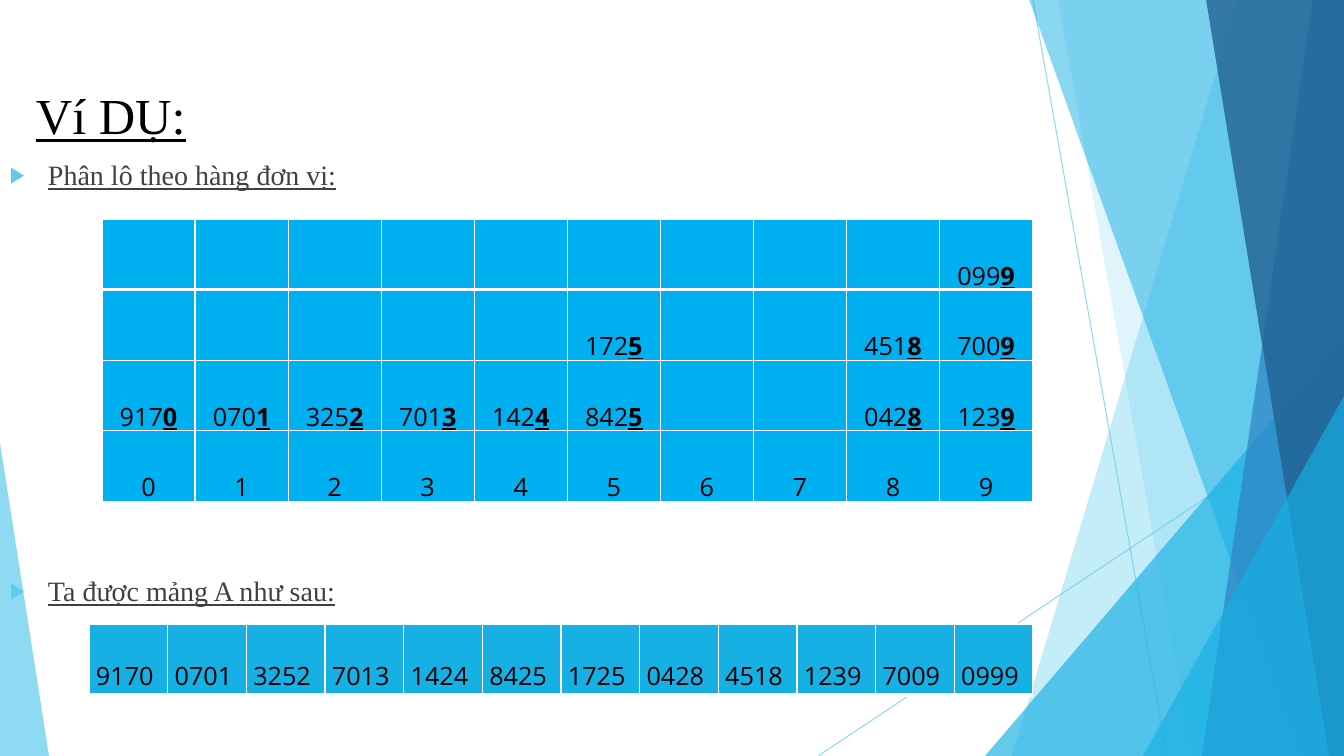
import dataclasses
import pptx
import pptx.dml.color
import pptx.enum.shapes
import pptx.enum.text
import pptx.oxml
import pptx.oxml.ns
import pptx.oxml.xmlchemy
import pptx.util

EMU_PER_PIXEL = 914400 / 100.8


@dataclasses.dataclass(frozen=True)
class Theme:
    serif: str = "Times New Roman"
    sans: str = "Open Sans"
    title_size: int = 36
    body_size: int = 20
    cell_size: int = 18
    black: str = "000000"
    body: str = "404040"
    white: str = "FFFFFF"
    sky: str = "5FCBEF"
    cyan: str = "17B0E4"
    blue: str = "2E83C3"
    navy: str = "226292"
    bucket: str = "00B0F0"


THEME = Theme()
TRIANGLE = pptx.enum.shapes.MSO_SHAPE.ISOSCELES_TRIANGLE
CENTER = pptx.enum.text.PP_ALIGN.CENTER
LEFT = pptx.enum.text.PP_ALIGN.LEFT


def px(pixels):
    return pptx.util.Emu(round(pixels * EMU_PER_PIXEL))


def rgb(color):
    return pptx.dml.color.RGBColor.from_string(color)


def add_element(parent, tag, **attributes):
    element = pptx.oxml.xmlchemy.OxmlElement(tag)
    for name, value in attributes.items():
        element.set(name, str(value))
    parent.append(element)
    return element


def set_opacity(element, percent):
    color = next(element.iter(pptx.oxml.ns.qn("a:srgbClr")))
    add_element(color, "a:alpha", val=percent * 1000)


def paint(facet, color, opacity):
    facet.shadow.inherit = False
    facet.fill.solid()
    facet.fill.fore_color.rgb = rgb(color)
    set_opacity(facet.fill._xPr, opacity)
    facet.line.fill.background()


def add_facet(slide, points, color, opacity):
    outline = slide.shapes.build_freeform(*points[0], scale=EMU_PER_PIXEL)
    outline.add_line_segments(points[1:], close=True)
    paint(outline.convert_to_shape(), color, opacity)


def add_triangle(slide, box, apex, color, opacity):
    triangle = slide.shapes.add_shape(TRIANGLE, *map(px, box))
    triangle.adjustments[0] = apex
    paint(triangle, color, opacity)


def add_ray(slide, start, end):
    ray = slide.shapes.add_connector(
        pptx.enum.shapes.MSO_CONNECTOR.STRAIGHT, *map(px, start + end))
    ray.line.color.rgb = rgb(THEME.sky)
    ray.line.width = pptx.util.Pt(0.75)
    set_opacity(ray.line._ln, 70)
    add_element(ray._element.spPr, "a:effectLst")


def add_run(paragraph, text, font, size, color, bold=False, underline=False):
    run = paragraph.add_run()
    run.text = text
    run.font.name = font
    run.font.size = pptx.util.Pt(size)
    run.font.color.rgb = rgb(color)
    run.font.bold = bold
    run.font.underline = underline


def add_heading(slide, box, text, size, color, anchor):
    frame = slide.shapes.add_textbox(*map(px, box)).text_frame
    frame.word_wrap = True
    frame.vertical_anchor = anchor
    paragraph = frame.paragraphs[0]
    add_run(paragraph, text, THEME.serif, size, color, underline=True)
    return paragraph


def add_bullet(slide, top, text):
    paragraph = add_heading(slide, (0, top, 1156, 44), text, THEME.body_size,
                            THEME.body, pptx.enum.text.MSO_ANCHOR.TOP)
    properties = paragraph._p.get_or_add_pPr()
    properties.set("marL", str(px(38)))
    properties.set("indent", str(px(-38)))
    bullet_color = add_element(properties, "a:buClr")
    add_element(bullet_color, "a:srgbClr", val=THEME.sky)
    add_element(properties, "a:buSzPct", val=80000)
    add_element(properties, "a:buFont", typeface="Arial")
    add_element(properties, "a:buChar", char="▶")


def add_border(cell, side, width):
    border = add_element(cell._tc.get_or_add_tcPr(), "a:ln" + side,
                         w=pptx.util.Pt(width))
    fill = add_element(border, "a:solidFill")
    add_element(fill, "a:srgbClr", val=THEME.white)


def fill_cell(cell, runs, align, color, top_width, bottom_width):
    for side, width in zip("LRTB", (1, 1, top_width, bottom_width)):
        add_border(cell, side, width)
    cell.fill.solid()
    cell.fill.fore_color.rgb = rgb(color)
    paragraph = cell.text_frame.paragraphs[0]
    paragraph.alignment = align
    paragraph.line_spacing = 2.0
    for text, marked in runs:
        add_run(paragraph, text, THEME.sans, THEME.cell_size, THEME.black,
                bold=marked, underline=marked)


def add_grid(slide, box, rows, align, color):
    grid = slide.shapes.add_table(len(rows), len(rows[0]), *map(px, box)).table
    grid.first_row = False
    grid.horz_banding = False
    for column in grid.columns:
        column.width = px(box[2] / len(rows[0]))
    for r, row in enumerate(rows):
        for c, runs in enumerate(row):
            fill_cell(grid.cell(r, c), runs, align, color,
                      3 if r == 1 else 1, 3 if r == 0 else 1)
    return grid


def mark_last_digit(number):
    return [(number[:-1], False), (number[-1], True)] if number else []


def add_background(slide):
    add_ray(slide, (1033, 0), (1167, 756))
    add_ray(slide, (1344, 406), (818, 756))
    add_facet(slide, [(1238, -1), (1344, -1), (1344, 756), (1012, 756)], THEME.sky, 36)
    add_facet(slide, [(1058, -1), (1344, -1), (1344, 756), (1192, 756)], THEME.sky, 20)
    add_triangle(slide, (985, 336, 359, 420), 1, THEME.cyan, 66)
    add_facet(slide, [(1029, -1), (1344, -1), (1344, 756), (1301, 756)], THEME.cyan, 50)
    add_facet(slide, [(1313, -1), (1344, -1), (1344, 756), (1202, 756)], THEME.blue, 70)
    add_facet(slide, [(1206, -1), (1344, -1), (1344, 756), (1329, 756)], THEME.navy, 80)
    add_triangle(slide, (1143, 396, 201, 360), 1, THEME.cyan, 66)
    add_triangle(slide, (0, 443, 49, 313), 0, THEME.sky, 70)


def main():
    deck = pptx.Presentation()
    deck.slide_width, deck.slide_height = px(1344), px(756)
    slide = deck.slides.add_slide(deck.slide_layouts[6])
    add_background(slide)
    add_heading(slide, (26, 77, 1026, 73), "Ví DỤ:", THEME.title_size,
                THEME.black, pptx.enum.text.MSO_ANCHOR.BOTTOM)
    add_bullet(slide, 153, "Phân lô theo hàng đơn vị:")
    add_bullet(slide, 569, "Ta được mảng A như sau:")

    buckets = [
        [""] * 9 + ["0999"],
        [""] * 5 + ["1725", "", "", "4518", "7009"],
        ["9170", "0701", "3252", "7013", "1424", "8425", "", "", "0428", "1239"],
    ]
    bucket_rows = [[mark_last_digit(number) for number in row] for row in buckets]
    bucket_rows.append([[(str(digit), False)] for digit in range(10)])
    add_grid(slide, (102, 219, 931, 276), bucket_rows, CENTER, THEME.bucket)

    sorted_numbers = ["9170", "0701", "3252", "7013", "1424", "8425",
                      "1725", "0428", "4518", "1239", "7009", "0999"]
    array_row = [[(number, False)] for number in sorted_numbers]
    array = add_grid(slide, (89, 624, 944, 71), [array_row], LEFT, THEME.cyan)
    for cell in array.iter_cells():
        cell.margin_left = cell.margin_right = px(7)
        cell.margin_top = cell.margin_bottom = 0

    deck.save("out.pptx")


if __name__ == "__main__":
    main()
